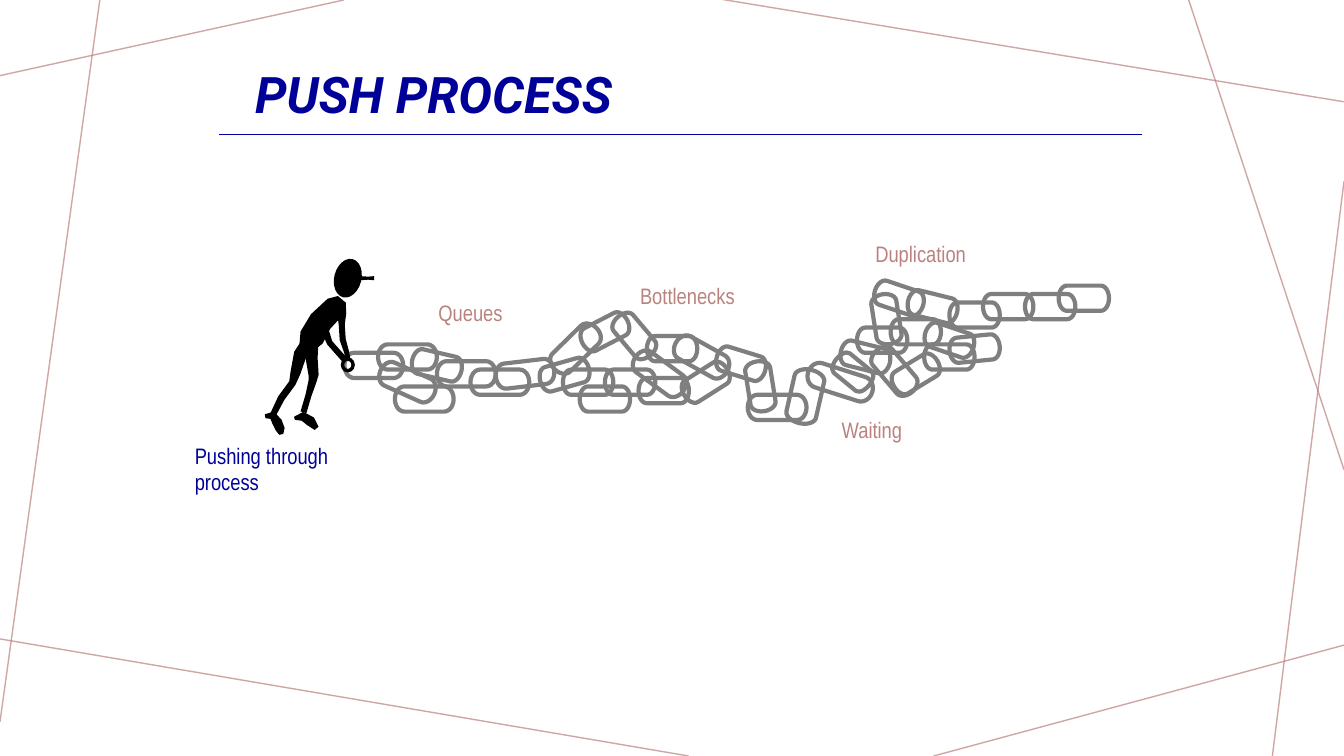
from dataclasses import dataclass
from math import hypot

from lxml import etree
from pptx import Presentation
from pptx.dml.color import RGBColor
from pptx.enum.shapes import MSO_CONNECTOR, MSO_SHAPE
from pptx.enum.text import MSO_ANCHOR, MSO_AUTO_SIZE, PP_ALIGN
from pptx.oxml.ns import qn
from pptx.util import Inches, Pt

STRAIGHT = MSO_CONNECTOR.STRAIGHT
LINK_SHAPE = MSO_SHAPE.FLOWCHART_TERMINATOR
OVAL = MSO_SHAPE.OVAL
RING = MSO_SHAPE.DONUT
MIDDLE = MSO_ANCHOR.MIDDLE
GROW = MSO_AUTO_SIZE.SHAPE_TO_FIT_TEXT
LEFT = PP_ALIGN.LEFT

NAVY = RGBColor(0x00, 0x00, 0x99)
ROSE = RGBColor(0xBA, 0x82, 0x7F)
GREY = RGBColor(0x7F, 0x7F, 0x7F)
BLACK = RGBColor(0x00, 0x00, 0x00)

PAGE_WIDTH, PAGE_HEIGHT = 13.33, 7.5
CELLS_PER_INCH = 12
POINTS_PER_INCH = 1000
SHORT, LONG = 6, 7


@dataclass
class Link:
    column: float
    row: float
    length: float = SHORT
    tilt: float = 0
    height: float = 3


@dataclass
class Label:
    text: str
    column: float
    row: float
    width: float
    lines: int = 1
    color: RGBColor = ROSE


BACKGROUND_LINES = [
    (3.41, 0, 0, 0.75),
    (0.99, 0, 0, 7.16),
    (6.83, PAGE_HEIGHT, -0.05, 6.33),
    (PAGE_WIDTH, 6.4, 9.26, PAGE_HEIGHT),
    (PAGE_WIDTH, 1.8, 12.62, PAGE_HEIGHT),
    (PAGE_WIDTH, 4.66, 11.79, 0),
    (PAGE_WIDTH, 1.01, 7.14, -0.01),
]

LABELS = [
    Label("Pushing through process", 22, 52, 26, lines=2, color=NAVY),
    Label("Queues", 51, 35, 16.7),
    Label("Bottlenecks", 75, 33, 19),
    Label("Duplication", 103, 28, 25),
    Label("Waiting", 99, 49, 16.7),
]

CHAIN = {
    "queues": [
        Link(41, 42, LONG), Link(45, 41, LONG), Link(45, 44, LONG, 24.2),
        Link(47, 46, LONG), Link(49, 42, tilt=13.1), Link(52, 43, LONG),
        Link(56, 44, LONG), Link(59, 43, LONG, -6.7),
    ],
    "bottlenecks": [
        Link(64.2, 43.1, tilt=-15.7), Link(65, 40, LONG, -44.4),
        Link(67, 44), Link(69, 46), Link(72, 44), Link(76, 45), Link(77, 40),
        Link(69, 38, tilt=-27.3), Link(72.5, 38.5, tilt=49.8),
        Link(75, 43, LONG, 36.2), Link(80, 41, LONG, 29.1),
        Link(81, 44, tilt=-32.4), Link(85.2, 41.8, tilt=17.1),
    ],
    "waiting": [
        Link(87.5, 44.5, tilt=80.9), Link(89, 47, LONG),
        Link(92.6, 45.4, 6.5, -77.2, height=3.6), Link(96, 44, 8, 17.7),
        Link(99, 42.8, 5, 39.3), Link(100, 41, tilt=14),
    ],
    "duplication": [
        Link(103.2, 42.7, 6.5, 49.5), Link(106, 43, tilt=-31.3),
        Link(110, 41), Link(113, 40, tilt=-5.7), Link(102, 39),
        Link(106, 38), Link(110, 39, tilt=18.7), Link(102.5, 36.5, tilt=81.1),
        Link(104, 34, tilt=18.7), Link(108, 35, tilt=13.9), Link(113, 36),
        Link(117, 35), Link(122, 35), Link(126, 34),
    ],
}

BODY_PARTS = {
    "torso": [(3.39, 2.97, 0.1), (3.33, 3.04, 0.22), (3.18, 3.19, 0.24),
              (3.09, 3.35, 0.25), (3.02, 3.48, 0.12)],
    "front arm": [(3.39, 3, 0.08), (3.39, 3.11, 0.09), (3.39, 3.22, 0.06),
                  (3.4, 3.37, 0.06), (3.44, 3.5, 0.05), (3.45, 3.57, 0.05)],
    "back arm": [(3.14, 3.18, 0.1), (3.2, 3.23, 0.09), (3.24, 3.32, 0.07),
                 (3.27, 3.4, 0.06), (3.34, 3.48, 0.06), (3.42, 3.57, 0.06)],
    "front leg": [(3.11, 3.36, 0.1), (3.09, 3.55, 0.12), (3.11, 3.72, 0.1),
                  (3.1, 3.78, 0.08), (3.06, 3.92, 0.06), (3.01, 4.09, 0.06)],
    "back leg": [(3.03, 3.39, 0.08), (2.98, 3.51, 0.13), (2.93, 3.7, 0.1),
                 (2.9, 3.8, 0.07), (2.79, 3.95, 0.07), (2.71, 4.11, 0.06)],
    "front foot": [(2.92, 4.15, 0.03), (3, 4.13, 0.09), (3.08, 4.18, 0.1),
                   (3.14, 4.25, 0.05)],
    "back foot": [(2.63, 4.13, 0.04), (2.7, 4.12, 0.08), (2.75, 4.19, 0.1),
                  (2.78, 4.26, 0.09), (2.79, 4.31, 0.04)],
    "cap peak": [(3.58, 2.76, 0.04), (3.65, 2.76, 0.03), (3.71, 2.76, 0.04)],
}


def cells(count):
    return Inches(count / CELLS_PER_INCH)


def add_line(page, ends, color, width, opacity=100):
    line = page.shapes.add_connector(STRAIGHT, *[Inches(value) for value in ends])
    line.line.color.rgb = color
    line.line.width = Pt(width)
    properties = line._element.spPr
    if opacity < 100:
        fill_color = next(properties.iter(qn("a:srgbClr")))
        etree.SubElement(fill_color, qn("a:alpha")).set("val", str(opacity * 1000))
    etree.SubElement(properties, qn("a:effectLst"))


def format_text(para, font_name, size, color):
    for span in para.runs:
        span.font.name = font_name
        span.font.size = Pt(size)
        span.font.color.rgb = color


def add_title(page, text):
    title = page.shapes.title
    title.left, title.top = Inches(2.43), Inches(0.42)
    title.width, title.height = Inches(8.49), Inches(1.09)
    frame = title.text_frame
    frame.text = text
    frame.vertical_anchor = MIDDLE
    para = frame.paragraphs[0]
    para.alignment = LEFT
    para.line_spacing = 0.9
    format_text(para, "Roboto", 36, NAVY)
    para.runs[0].font.bold = True
    para.runs[0].font.italic = True


def add_label(page, label):
    height = Inches(0.1 + 0.27 * label.lines)
    box = page.shapes.add_textbox(
        cells(label.column), cells(label.row), cells(label.width), height)
    frame = box.text_frame
    frame.word_wrap = True
    frame.auto_size = GROW
    frame.text = label.text
    format_text(frame.paragraphs[0], "Arial Narrow", 16, label.color)


def add_link(page, link):
    shape = page.shapes.add_shape(
        LINK_SHAPE, cells(link.column), cells(link.row),
        cells(link.length), cells(link.height))
    shape.rotation = link.tilt
    shape.shadow.inherit = False
    shape.fill.background()
    shape.line.color.rgb = GREY
    shape.line.width = Pt(3)


def paint_black(shape):
    shape.shadow.inherit = False
    shape.fill.solid()
    shape.fill.fore_color.rgb = BLACK
    shape.line.fill.background()


def limb_outline(joints):
    near_side, far_side = [], []
    for index, (x, y, thickness) in enumerate(joints):
        before = joints[max(index - 1, 0)]
        after = joints[min(index + 1, len(joints) - 1)]
        run, rise = after[0] - before[0], after[1] - before[1]
        reach = thickness / 2 / hypot(run, rise)
        near_side.append((x - rise * reach, y + run * reach))
        far_side.append((x + rise * reach, y - run * reach))
    return [(x * POINTS_PER_INCH, y * POINTS_PER_INCH)
            for x, y in near_side + far_side[::-1]]


def add_limb(figure, joints):
    outline = limb_outline(joints)
    builder = figure.shapes.build_freeform(*outline[0], scale=Inches(1) / POINTS_PER_INCH)
    builder.add_line_segments(outline[1:], close=True)
    paint_black(builder.convert_to_shape())


def add_round_part(figure, kind, center_x, center_y, width, height, tilt=0):
    part = figure.shapes.add_shape(
        kind, Inches(center_x - width / 2), Inches(center_y - height / 2),
        Inches(width), Inches(height))
    part.rotation = tilt
    paint_black(part)


def add_worker(page):
    figure = page.shapes.add_group_shape()
    for joints in BODY_PARTS.values():
        add_limb(figure, joints)
    add_round_part(figure, OVAL, 3.45, 2.76, 0.27, 0.39, tilt=14)
    add_round_part(figure, RING, 3.45, 3.62, 0.14, 0.15)


def main():
    deck = Presentation()
    deck.slide_width, deck.slide_height = Inches(PAGE_WIDTH), Inches(PAGE_HEIGHT)
    page = deck.slides.add_slide(deck.slide_layouts[5])
    for ends in BACKGROUND_LINES:
        add_line(page, ends, ROSE, 1, opacity=70)
    add_title(page, "PUSH PROCESS")
    add_line(page, (2.17, 1.33, 11.33, 1.33), NAVY, 0.75)
    for stretch in CHAIN.values():
        for link in stretch:
            add_link(page, link)
    for label in LABELS:
        add_label(page, label)
    add_worker(page)
    deck.save("out.pptx")


if __name__ == "__main__":
    main()
